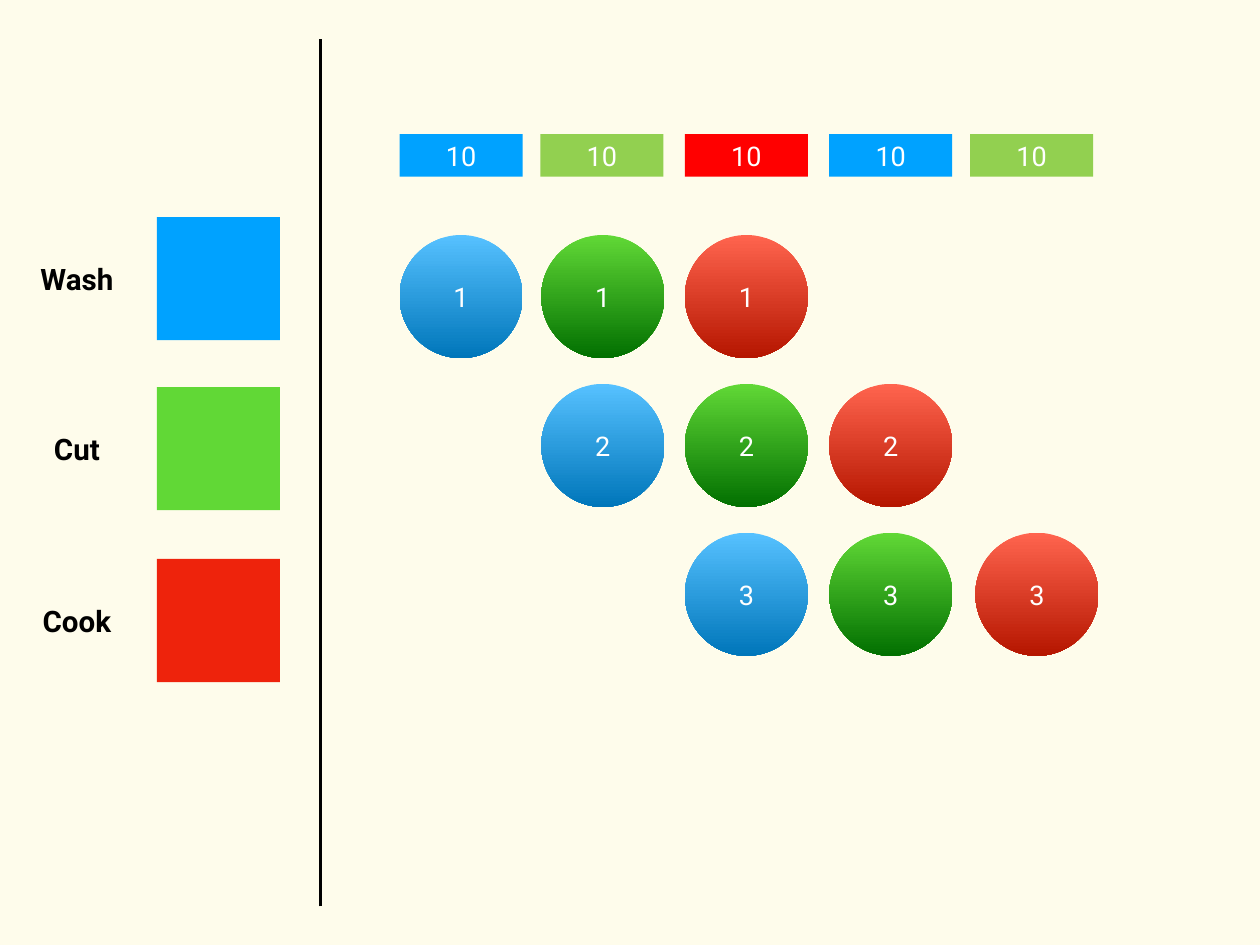
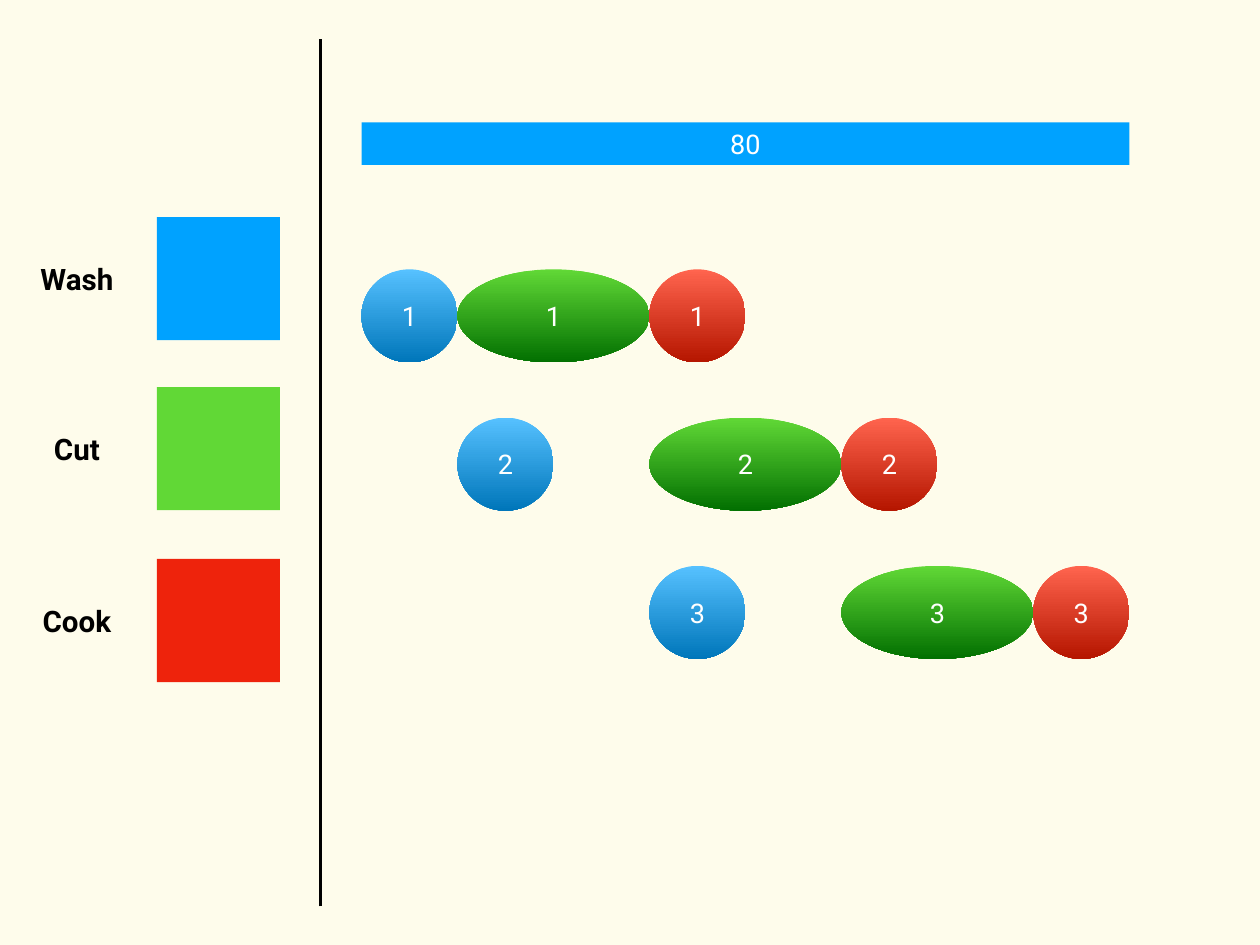
from pptx import Presentation
from pptx.dml.color import RGBColor
from pptx.enum.shapes import MSO_CONNECTOR, MSO_SHAPE
from pptx.enum.text import MSO_ANCHOR, PP_ALIGN
from pptx.oxml.ns import qn
from pptx.util import Pt
from lxml.etree import SubElement

FONT = "Roboto"
PAPER, INK, WHITE = "FEFCEB", "000000", "FFFFFF"
BLUE, LIME, RED = "00A2FF", "92D050", "FF0000"
STEPS = (("Wash", BLUE), ("Cut", "61D836"), ("Cook", "EE230C"))
SHADES = (("56C1FF", "0076BA"), ("61D836", "027001"), ("FF644E", "B51600"))


def color(code):
    return RGBColor.from_string(code)


def write(shape, text, size, code, bold=False):
    frame = shape.text_frame
    frame.margin_left = frame.margin_right = Pt(4)
    frame.margin_top = frame.margin_bottom = Pt(4)
    frame.vertical_anchor = MSO_ANCHOR.MIDDLE
    frame.text = text
    line = frame.paragraphs[0]
    line.alignment = PP_ALIGN.CENTER
    font = line.runs[0].font
    font.name, font.size, font.bold = FONT, Pt(size), bold
    font.color.rgb = color(code)


def draw(slide, kind, box, text=""):
    shape = slide.shapes.add_shape(kind, *map(Pt, box))
    shape.shadow.inherit = False
    shape.line.fill.background()
    if text:
        write(shape, text, 22, WHITE)
    return shape


def block(slide, box, code, text=""):
    fill = draw(slide, MSO_SHAPE.RECTANGLE, box, text).fill
    fill.solid()
    fill.fore_color.rgb = color(code)


def task(slide, box, shades, text):
    fill = draw(slide, MSO_SHAPE.OVAL, box, text).fill
    fill.gradient()
    fill.gradient_angle = 270
    for stop, code, place in zip(fill.gradient_stops, shades, (0, 1)):
        stop.color.rgb = color(code)
        stop.position = place


def legend(slide, box):
    left, top, width, height = box
    side = 100
    for (name, code), drop in zip(STEPS, (144.7, 282.9, 422.6)):
        block(slide, (left + 101.5, top + drop, side, side), code)
        label = slide.shapes.add_textbox(
            *map(Pt, (left, top + drop + 31.5, 73, 37)))
        label.text_frame.word_wrap = False
        write(label, name, 24, INK, True)
    edge = left + width
    rule = slide.shapes.add_connector(
        MSO_CONNECTOR.STRAIGHT, *map(Pt, (edge, top + height, edge, top)))
    rule.line.color.rgb = color(INK)
    rule.line.width = Pt(2)
    SubElement(rule._element.spPr, qn("a:effectLst"))


def steady(slide, box):
    left, top, size, pitch = box
    bars = (0, 114.5, 231.9, 349.2, 463.7)
    slots = (0, 115.2, 231.9, 349.2, 468)
    for gap, code in zip(bars, (BLUE, LIME, RED, BLUE, LIME)):
        block(slide, (left + gap, top, size, 34.6), code, "10")
    for row in range(3):
        for step, shades in enumerate(SHADES):
            spot = (left + slots[row + step], top + 82 + row * pitch, size, size)
            task(slide, spot, shades, str(row + 1))


def delayed(slide, box):
    left, top, width, pitch = box
    unit = width / 8
    spans = (1, 2, 1)
    starts = ((0, 1, 3), (1, 3, 5), (3, 5, 7))
    block(slide, (left, top, width, 34.6), BLUE, "80")
    for row, slots in enumerate(starts):
        for slot, span, shades in zip(slots, spans, SHADES):
            spot = (left + slot * unit, top + 119.5 + row * pitch,
                    span * unit, 75.6)
            task(slide, spot, shades, str(row + 1))


deck = Presentation()
deck.slide_width, deck.slide_height = Pt(1024), Pt(768)
for chart, box in ((steady, (324.7, 109, 100, 121)),
                   (delayed, (293.8, 99.4, 624, 120.5))):
    slide = deck.slides.add_slide(deck.slide_layouts[6])
    back = slide.background.fill
    back.solid()
    back.fore_color.rgb = color(PAPER)
    legend(slide, (26, 31.7, 234.6, 704.9))
    chart(slide, box)
deck.save("out.pptx")
